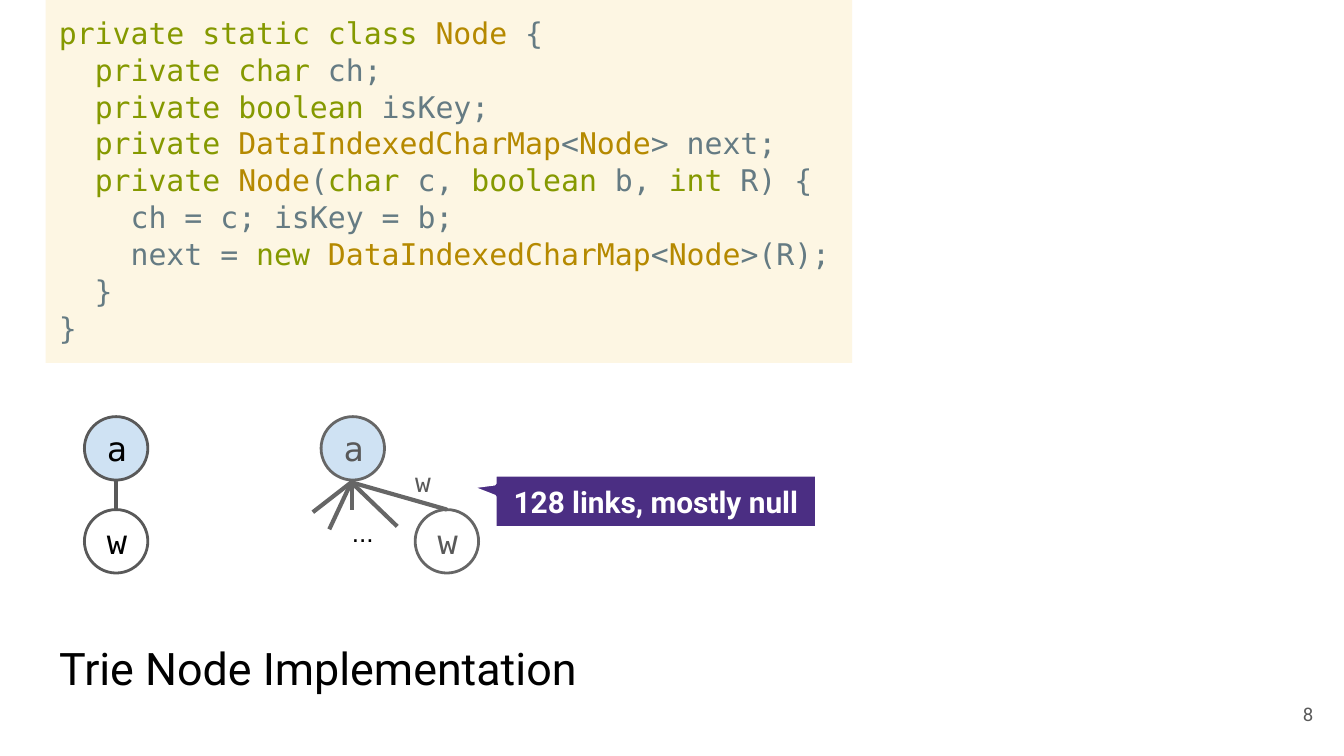
from dataclasses import dataclass
from itertools import groupby

from pptx import Presentation
from pptx.dml.color import RGBColor
from pptx.enum.shapes import MSO_CONNECTOR, MSO_SHAPE
from pptx.enum.text import MSO_ANCHOR, PP_ALIGN
from pptx.oxml.ns import qn
from pptx.util import Pt


@dataclass(frozen=True)
class Theme:
    sans: str = "Roboto"
    mono: str = "DejaVu Sans Mono"
    dots: str = "Arial"
    black: str = "000000"
    white: str = "FFFFFF"
    gray: str = "595959"
    edge: str = "666666"
    node: str = "CFE2F3"
    callout: str = "4B2E83"
    code_fill: str = "FDF6E3"
    code_keyword: str = "859900"
    code_type: str = "B58900"
    code_plain: str = "657B83"
    title_size: int = 24
    node_size: int = 18
    code_size: int = 16
    label_size: int = 14
    number_size: int = 10


T = Theme()
rgb = RGBColor.from_string


def write(sp, text, size, font, color, align=PP_ALIGN.LEFT, anchor=MSO_ANCHOR.TOP, bold=False):
    tf = sp.text_frame
    tf.word_wrap = True
    tf.vertical_anchor = anchor
    tf.margin_left = tf.margin_right = tf.margin_top = tf.margin_bottom = Pt(7.2)
    tf.text = text
    for p in tf.paragraphs:
        p.alignment = align
        p.font.size = Pt(size)
        p.font.name = font
        p.font.bold = bold
        p.font.color.rgb = rgb(color)
    return tf


def add_box(kind, x, y, w, h, fill, line=None, width=1.5):
    sp = s.shapes.add_shape(kind, Pt(x), Pt(y), Pt(w), Pt(h))
    sp.shadow.inherit = False
    sp.fill.solid()
    sp.fill.fore_color.rgb = rgb(fill)
    if line:
        sp.line.color.rgb = rgb(line)
        sp.line.width = Pt(width)
    else:
        sp.line.fill.background()
    return sp


prs = Presentation()
prs.slide_width, prs.slide_height = Pt(720), Pt(405)
s = prs.slides.add_slide(prs.slide_layouts[5])

title = s.shapes.title
title.left, title.top, title.width, title.height = Pt(24.5), Pt(334), Pt(671), Pt(45.4)
write(title, "Trie Node Implementation", T.title_size, T.sans, T.black, anchor=MSO_ANCHOR.BOTTOM)

code = """private static class Node {
  private char ch;
  private boolean isKey;
  private DataIndexedCharMap<Node> next;
  private Node(char c, boolean b, int R) {
    ch = c; isKey = b;
    next = new DataIndexedCharMap<Node>(R);
  }
}"""
colors = dict.fromkeys("private static class char boolean int new".split(), T.code_keyword)
colors.update(dict.fromkeys(["Node", "DataIndexedCharMap"], T.code_type))

panel = add_box(MSO_SHAPE.RECTANGLE, 24.5, 0, 432, 194.4, T.code_fill)
tf = write(panel, "", T.code_size, T.mono, T.code_plain)
for i, line in enumerate(code.splitlines()):
    p = tf.paragraphs[0] if i == 0 else tf.add_paragraph()
    p.alignment = PP_ALIGN.LEFT
    p.line_spacing = 1.03
    p.font.size = Pt(T.code_size)
    p.font.name = T.mono
    words = ["".join(chars) for _, chars in groupby(line, str.isalpha)]
    for color, group in groupby(words, lambda word: colors.get(word, T.code_plain)):
        r = p.add_run()
        r.text = "".join(group)
        r.font.color.rgb = rgb(color)

nodes = [
    ("a", 45.2, 223.2, T.node, T.gray, T.black),
    ("w", 45.2, 273, T.white, T.gray, T.black),
    ("a", 172, 223.2, T.node, T.edge, T.gray),
    ("w", 222.4, 273, T.white, T.edge, T.gray),
]
for letter, x, y, fill, line, color in nodes:
    sp = add_box(MSO_SHAPE.OVAL, x, y, 34, 34, fill, line)
    write(sp, letter, T.node_size, T.mono, color, anchor=MSO_ANCHOR.MIDDLE)

hub = (188.2, 258.4)
links = [((62.2, 257.2), (62.2, 273), T.gray), ((188.8, 257.2), (188.8, 273), T.edge)]
links += [(hub, end, T.edge) for end in [(176.4, 283.6), (167.6, 274.4), (212.8, 282), (239.4, 273)]]
for start, end, color in links:
    link = s.shapes.add_connector(MSO_CONNECTOR.STRAIGHT, *map(Pt, start + end))
    link.line.color.rgb = rgb(color)
    link.line.width = Pt(2.25)
    sp_pr = link._element.spPr
    sp_pr.append(sp_pr.makeelement(qn("a:effectLst"), {}))

labels = [
    ("w", 215.3, 242.6, 16.6, 16, T.label_size, T.mono, T.gray, PP_ALIGN.LEFT, MSO_ANCHOR.TOP),
    ("...", 181.4, 269.3, 32.4, 23, T.label_size, T.dots, T.black, PP_ALIGN.LEFT, MSO_ANCHOR.TOP),
    ("8", 667.4, 367.2, 43.2, 31, T.number_size, T.sans, T.gray, PP_ALIGN.RIGHT, MSO_ANCHOR.MIDDLE),
]
for text, x, y, w, h, *style in labels:
    write(s.shapes.add_textbox(Pt(x), Pt(y), Pt(w), Pt(h)), text, *style)

callout = add_box(MSO_SHAPE.ROUNDED_RECTANGULAR_CALLOUT, 265, 254.2, 172.8, 28.8, T.callout, T.white, 2.25)
for i, value in enumerate([-0.58, -0.27, 0]):
    callout.adjustments[i] = value
write(callout, "128 links, mostly null", T.code_size, T.sans, T.white, PP_ALIGN.CENTER, MSO_ANCHOR.MIDDLE, True)

prs.save("out.pptx")
